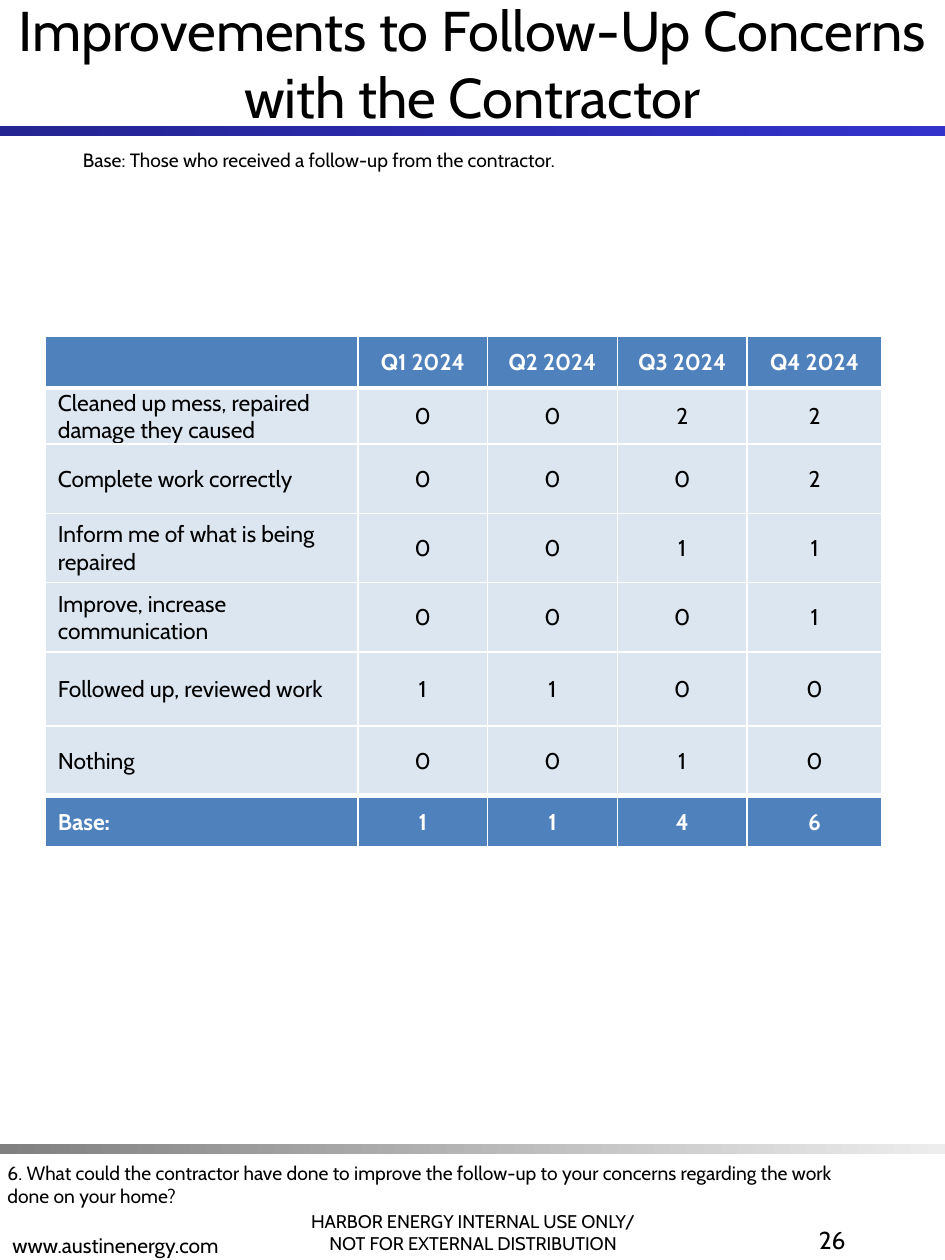
from lxml import etree
from pptx import Presentation
from pptx.dml.color import RGBColor
from pptx.enum.shapes import MSO_SHAPE
from pptx.enum.text import MSO_ANCHOR as Anchor, PP_ALIGN as Align
from pptx.oxml.ns import qn
from pptx.util import Inches, Pt

FONT = "Cabin"
COLORS = {
    "text": "000000", "white": "FFFFFF", "header": "4F81BD",
    "first_row": "DDE7F2", "row": "DCE6F1",
    "blue_start": "242492", "blue_end": "3333CC",
    "gray_start": "808080", "gray_end": "EDEDED",
}

# top, start colour, end colour
BARS = [(1, "blue_start", "blue_end"), (9.08, "gray_start", "gray_end")]

# lines, (left, top, width, height), size, alignment, anchor
TEXTS = [
    (["HARBOR ENERGY INTERNAL USE ONLY/", "NOT FOR EXTERNAL DISTRIBUTION"],
     (2.16, 9.33, 3.19, 0.67), 10.5, Align.CENTER, Anchor.BOTTOM),
    (["www.austinenergy.com"],
     (0, 9.36, 3.19, 0.67), 12, Align.LEFT, Anchor.BOTTOM),
    (["Improvements to Follow-Up Concerns with the Contractor"],
     (0, 0, 7.5, 1), 32, Align.CENTER, Anchor.MIDDLE),
    (["26"], (5.25, 9.67, 1.56, 0.67), 14, Align.RIGHT, Anchor.TOP),
    (["6. What could the contractor have done to improve the follow-up to "
      "your concerns regarding the work done on your home?"],
     (-0.04, 9.17, 6.85, 0.47), 11, Align.LEFT, Anchor.TOP),
    (["Base: Those who received a follow-up from the contractor."],
     (0.56, 1.13, 6.44, 0.29), 11, Align.LEFT, Anchor.TOP),
]

TABLE_ROWS = [
    ("", "Q1 2024", "Q2 2024", "Q3 2024", "Q4 2024"),
    ("Cleaned up mess, repaired damage they caused", 0, 0, 2, 2),
    ("Complete work correctly", 0, 0, 0, 2),
    ("Inform me of what is being repaired", 0, 0, 1, 1),
    ("Improve, increase communication", 0, 0, 0, 1),
    ("Followed up, reviewed work", 1, 1, 0, 0),
    ("Nothing", 0, 0, 1, 0),
    ("Base:", 1, 1, 4, 6),
]
TABLE_BOX = (0.36, 2.67, 6.64, 4.04)
COLUMN_WIDTHS = [2.48, 1.03, 1.03, 1.03, 1.07]
ROW_HEIGHTS = [0.41, 0.41, 0.55, 0.55, 0.55, 0.59, 0.55, 0.41]


def rgb(name):
    return RGBColor.from_string(COLORS[name])


def inches(values):
    return [Inches(value) for value in values]


def style_font(para, size, color="text", bold=False):
    font = para.font
    font.name, font.size, font.bold = FONT, Pt(size), bold
    font.color.rgb = rgb(color)


def add_bar(page, top, start, end):
    bar = page.shapes.add_shape(MSO_SHAPE.RECTANGLE, *inches((0, top, 7.5, 0.08)))
    bar.shadow.inherit = False
    bar.line.fill.background()
    bar.fill.gradient()
    bar.fill.gradient_angle = 0
    for stop, color, position in zip(bar.fill.gradient_stops, (start, end), (0, 1)):
        stop.color.rgb = rgb(color)
        stop.position = position


def add_text(page, lines, place, size, align, anchor):
    frame = page.shapes.add_textbox(*inches(place)).text_frame
    frame.word_wrap = True
    frame.vertical_anchor = anchor
    frame.text = "\n".join(lines)
    for para in frame.paragraphs:
        para.alignment = align
        style_font(para, size)


def set_borders(cell, top, bottom):
    """Draw white borders; top and bottom are widths in points."""
    properties = cell._tc.get_or_add_tcPr()
    for side, width in (("L", 1), ("R", 1), ("T", top), ("B", bottom)):
        line = etree.SubElement(properties, qn(f"a:ln{side}"), w=str(Pt(width)))
        fill = etree.SubElement(line, qn("a:solidFill"))
        etree.SubElement(fill, qn("a:srgbClr"), val=COLORS["white"])


def add_results_table(page):
    last = len(TABLE_ROWS) - 1
    table = page.shapes.add_table(
        len(TABLE_ROWS), len(COLUMN_WIDTHS), *inches(TABLE_BOX)).table
    for column, width in zip(table.columns, inches(COLUMN_WIDTHS)):
        column.width = width
    for row, height in zip(table.rows, inches(ROW_HEIGHTS)):
        row.height = height

    for r, values in enumerate(TABLE_ROWS):
        banner = r in (0, last)
        fill = "header" if banner else "first_row" if r == 1 else "row"
        for c, value in enumerate(values):
            cell = table.cell(r, c)
            set_borders(cell, 3 if r in (1, last) else 1,
                        3 if r in (0, last - 1) else 1)
            cell.fill.solid()
            cell.fill.fore_color.rgb = rgb(fill)
            cell.vertical_anchor = Anchor.MIDDLE
            cell.margin_left = Inches(0.01 if c else 0.1)
            cell.margin_right = cell.margin_top = Inches(0.01)
            cell.margin_bottom = 0
            cell.text = str(value)
            para = cell.text_frame.paragraphs[0]
            para.alignment = Align.CENTER if c else Align.LEFT
            style_font(para, 13, "white" if banner else "text", banner)


def main():
    deck = Presentation()
    deck.slide_width, deck.slide_height = inches((7.5, 10))
    page = deck.slides.add_slide(deck.slide_layouts[6])
    for bar in BARS:
        add_bar(page, *bar)
    for text in TEXTS:
        add_text(page, *text)
    add_results_table(page)
    deck.save("out.pptx")


if __name__ == "__main__":
    main()
